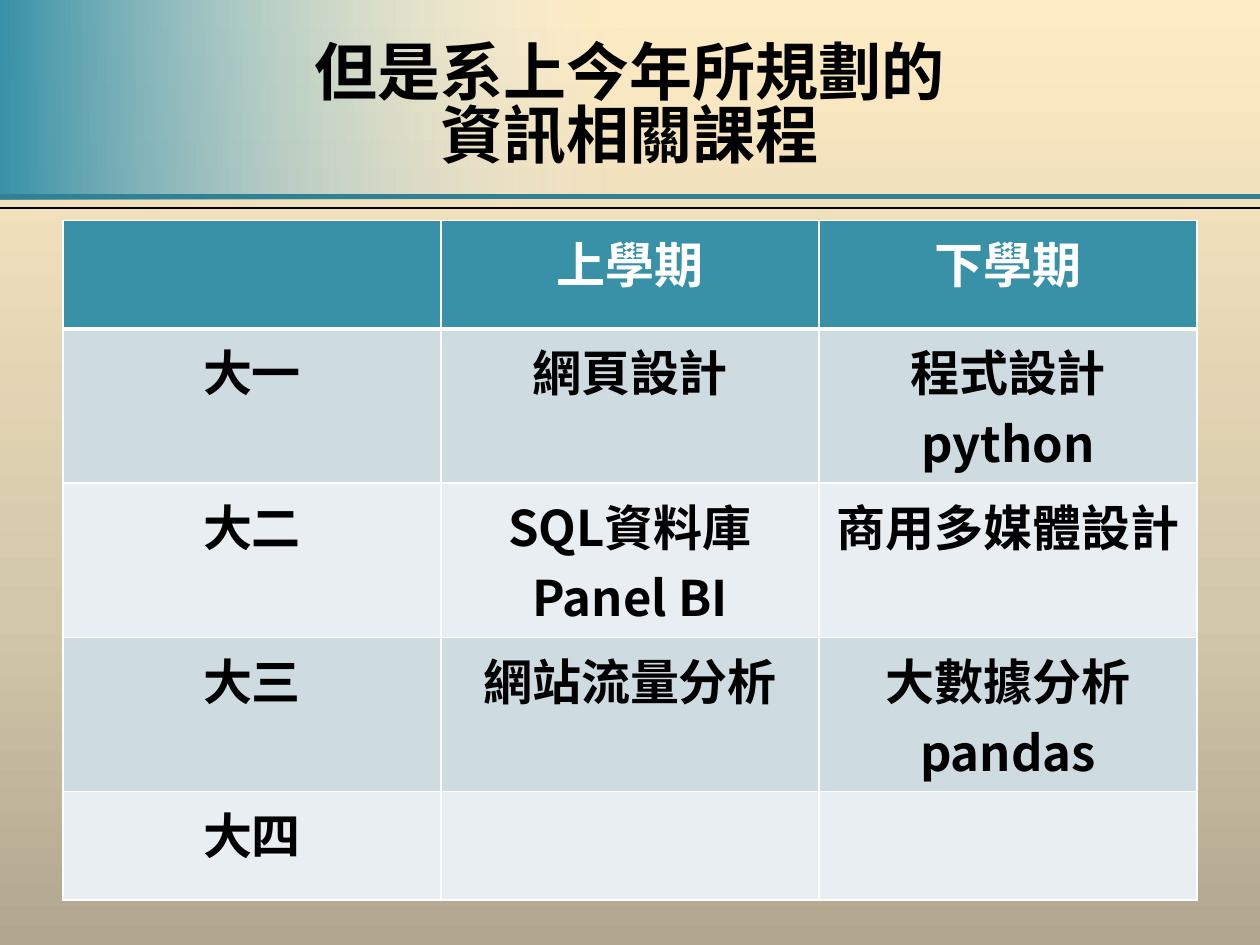
from lxml import etree
from pptx import Presentation
from pptx import util as u
from pptx.dml.color import RGBColor
from pptx.enum import shapes, text
from pptx.oxml.ns import qn

FONT = "Noto Sans CJK SC"
TEAL, WHITE, BLACK = "3891A7", "FFFFFF", "000000"
BANDS = ("CEDCE1", "E8EEF1")
COURSES = [
    ["", "上學期", "下學期"],
    ["大一", "網頁設計", "程式設計python"],
    ["大二", "SQL資料庫\nPanel BI", "商用多媒體設計"],
    ["大三", "網站流量分析", "大數據分析pandas"],
    ["大四", "", ""],
]
ROW_HEIGHTS = [1.72, 2.44, 2.44, 2.44, 1.72]


def color(value):
    """Turn a hex string into a colour."""
    return RGBColor.from_string(value)


class Deck:
    """Hold the style and the current slide, measured on a half-inch grid."""

    def __init__(self):
        """Start a presentation with one blank slide."""
        self.presentation = Presentation()
        self.presentation.slide_width = self.grid(20)
        self.presentation.slide_height = self.grid(15)
        self.slide = self.presentation.slides.add_slide(self.presentation.slide_layouts[6])

    def grid(self, count):
        """Convert grid units to a length."""
        return u.Inches(count / 2)

    def gradient(self, fill, element, angle, stops):
        """Fill with colour stops given as position, colour and opacity."""
        fill.gradient()
        fill.gradient_angle = angle
        stop_list = element.find(".//" + qn("a:gsLst"))
        for old in list(stop_list):
            stop_list.remove(old)
        for position, value, opacity in stops:
            stop = etree.SubElement(stop_list, qn("a:gs"), pos=str(position * 1000))
            tint = etree.SubElement(stop, qn("a:srgbClr"), val=value)
            if opacity < 100:
                etree.SubElement(tint, qn("a:alpha"), val=str(opacity * 1000))

    def background(self, angle, stops):
        """Give the slide a gradient background."""
        self.gradient(self.slide.background.fill, self.slide.element, angle, stops)

    def band(self, left, top, width, height, stops):
        """Add a rectangle with a horizontal gradient."""
        shape = self.slide.shapes.add_shape(
            shapes.MSO_SHAPE.RECTANGLE, *map(self.grid, (left, top, width, height)))
        shape.shadow.inherit = False
        shape.line.fill.background()
        self.gradient(shape.fill, shape.element, 0, stops)

    def rule(self, row, value, weight):
        """Add a full-width horizontal line."""
        line = self.slide.shapes.add_connector(
            shapes.MSO_CONNECTOR.STRAIGHT, 0, self.grid(row), self.grid(20), self.grid(row))
        line.line.color.rgb = color(value)
        line.line.width = u.Pt(weight)
        etree.SubElement(line.element.spPr, qn("a:effectLst"))

    def add_text(self, paragraph, content, size, value):
        """Add one bold centred run to a paragraph."""
        paragraph.alignment = text.PP_ALIGN.CENTER
        run = paragraph.add_run()
        run.text = content
        run.font.size = u.Pt(size)
        run.font.bold = True
        run.font.name = FONT
        run.font.color.rgb = color(value)
        etree.SubElement(run.font._element, qn("a:ea"), typeface=FONT)

    def title(self, left, top, width, height, lines):
        """Add the heading, its lines parted by line breaks."""
        frame = self.slide.shapes.add_textbox(
            *map(self.grid, (left, top, width, height))).text_frame
        frame.word_wrap = True
        frame.vertical_anchor = text.MSO_ANCHOR.MIDDLE
        paragraph = frame.paragraphs[0]
        paragraph.line_spacing = 0.83
        for index, line in enumerate(lines):
            if index:
                paragraph.add_line_break()
            self.add_text(paragraph, line, 36, BLACK)

    def borders(self, cell, weights):
        """Draw white cell borders, one weight for each side."""
        properties = cell._tc.get_or_add_tcPr()
        for side, weight in weights.items():
            line = etree.SubElement(properties, qn("a:ln" + side), w=str(u.Pt(weight)))
            fill = etree.SubElement(line, qn("a:solidFill"))
            etree.SubElement(fill, qn("a:srgbClr"), val=WHITE)

    def table(self, left, top, width, rows, heights):
        """Add a table with a header row and banded body rows."""
        table = self.slide.shapes.add_table(
            len(rows), len(rows[0]),
            *map(self.grid, (left, top, width, sum(heights)))).table
        for row, (contents, height) in enumerate(zip(rows, heights)):
            table.rows[row].height = self.grid(height)
            for column, content in enumerate(contents):
                cell = table.cell(row, column)
                self.borders(cell, {"L": 1, "R": 1, "T": 3 if row == 1 else 1,
                                    "B": 3 if row == 0 else 1})
                cell.fill.solid()
                cell.fill.fore_color.rgb = color(BANDS[(row - 1) % 2] if row else TEAL)
                for index, line in enumerate(content.split("\n") if content else []):
                    frame = cell.text_frame
                    paragraph = frame.add_paragraph() if index else frame.paragraphs[0]
                    self.add_text(paragraph, line, 28, BLACK if row else WHITE)


def main():
    """Build the course plan slide."""
    deck = Deck()
    deck.background(90, [(0, "B1A78F", 100), (35, "D3C7AA", 100), (100, "FEECC4", 100)])
    deck.band(0, 0, 20, 3.16, [(0, TEAL, 100), (49, BANDS[1], 0)])
    deck.rule(3.12, "318093", 3)
    deck.rule(3.3, BLACK, 1.25)
    deck.table(1, 3.5, 18, COURSES, ROW_HEIGHTS)
    deck.title(1, 0.34, 18, 2.76, ["但是系上今年所規劃的", "資訊相關課程"])
    deck.presentation.save("out.pptx")


if __name__ == "__main__":
    main()
